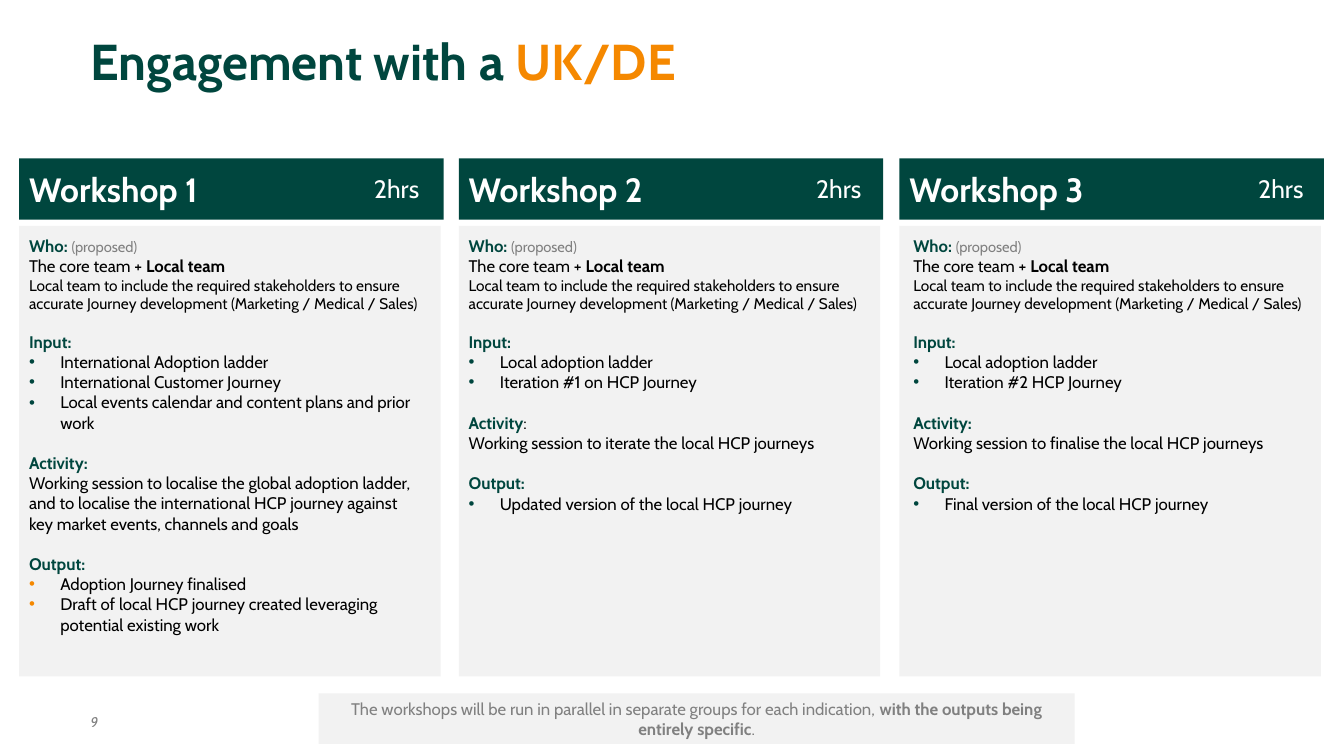
from lxml import etree
from pptx import Presentation
from pptx.dml.color import RGBColor
from pptx.enum.shapes import MSO_SHAPE as Shape
from pptx.enum.text import MSO_ANCHOR as Anchor, PP_ALIGN as Align
from pptx.oxml.ns import qn
from pptx.util import Inches, Pt

GREEN = RGBColor(0x00, 0x46, 0x3E)
ORANGE = RGBColor(0xF5, 0x88, 0x00)
GREY = RGBColor(0x80, 0x80, 0x80)
PALE = RGBColor(0xF2, 0xF2, 0xF2)
BLACK = RGBColor(0x00, 0x00, 0x00)
WHITE = RGBColor(0xFF, 0xFF, 0xFF)

WORKSHOPS = [
    {
        "left": 0.19, "text_left": 0.19, "colon": GREEN, "output_bullet": ORANGE,
        "input": ["International Adoption ladder", "International Customer Journey",
                  "Local events calendar and content plans and prior work"],
        "activity": "Working session to localise the global adoption ladder, and to localise "
                    "the international HCP journey against key market events, channels and goals",
        "output": ["Adoption Journey finalised",
                   "Draft of local HCP journey created leveraging potential existing work"],
    },
    {
        "left": 4.55, "text_left": 4.55, "colon": BLACK, "output_bullet": GREEN,
        "input": ["Local adoption ladder", "Iteration #1 on HCP Journey"],
        "activity": "Working session to iterate the local HCP journeys",
        "output": ["Updated version of the local HCP journey"],
    },
    {
        "left": 8.92, "text_left": 8.96, "colon": GREEN, "output_bullet": GREEN,
        "input": ["Local adoption ladder", "Iteration #2 HCP Journey"],
        "activity": "Working session to finalise the local HCP journeys",
        "output": ["Final version of the local HCP journey"],
    },
]


class SlideWriter:
    """Draws styled elements on the current slide."""

    font = "Cabin"

    def __init__(self, page):
        self.page = page

    def rectangle(self, left, top, width, height, fill):
        shape = self.page.shapes.add_shape(
            Shape.RECTANGLE, Inches(left), Inches(top), Inches(width), Inches(height))
        shape.shadow.inherit = False
        shape.fill.solid()
        shape.fill.fore_color.rgb = fill
        shape.line.fill.background()
        shape.text_frame.word_wrap = True
        return shape.text_frame

    def text_box(self, left, top, width, height, wrap=True):
        box = self.page.shapes.add_textbox(
            Inches(left), Inches(top), Inches(width), Inches(height))
        box.text_frame.word_wrap = wrap
        return box.text_frame

    def span(self, para, text, size, color, bold=False, italic=False):
        span = para.add_run()
        span.text = text
        span.font.name = self.font
        span.font.size = Pt(size)
        span.font.color.rgb = color
        span.font.bold = bold
        span.font.italic = italic

    def bullet(self, para, color):
        props = para._p.get_or_add_pPr()
        props.set("marL", str(Inches(0.31)))
        props.set("indent", str(-Inches(0.31)))
        bullet_color = etree.SubElement(props, qn("a:buClr"))
        etree.SubElement(bullet_color, qn("a:srgbClr")).set("val", str(color))
        etree.SubElement(props, qn("a:buFont")).set("typeface", "Arial")
        etree.SubElement(props, qn("a:buChar")).set("char", "•")

    def heading(self, frame, text, gap, colon=GREEN):
        para = frame.add_paragraph()
        para.space_before = Pt(gap)
        self.span(para, text, 12, GREEN, bold=True)
        self.span(para, ":", 12, colon, bold=colon == GREEN)

    def bullets(self, frame, items, color):
        for item in items:
            para = frame.add_paragraph()
            self.bullet(para, color)
            self.span(para, item, 12, BLACK)

    def workshop(self, number, details):
        left = details["left"]
        self.rectangle(left, 2.24, 4.18, 4.47, PALE)

        header = self.rectangle(left, 1.57, 4.21, 0.61, GREEN)
        header.vertical_anchor = Anchor.MIDDLE
        header.paragraphs[0].alignment = Align.LEFT
        self.span(header.paragraphs[0], f"Workshop {number}", 24, WHITE, bold=True)

        duration = self.text_box(3.61 + 4.385 * (number - 1), 1.67, 0.71, 0.4)
        self.span(duration.paragraphs[0], "2hrs", 18, WHITE)

        body = self.text_box(details["text_left"], 2.29, 4.13, 4.4)
        who = body.paragraphs[0]
        self.span(who, "Who: ", 12, GREEN, bold=True)
        self.span(who, "(proposed)", 10.5, GREY)
        team = body.add_paragraph()
        self.span(team, "The core team + ", 12, BLACK)
        self.span(team, "Local team", 12, BLACK, bold=True)
        self.span(body.add_paragraph(),
                  "Local team to include the required stakeholders to ensure accurate "
                  "Journey development (Marketing / Medical / Sales)", 11, BLACK)

        self.heading(body, "Input", 13.3)
        self.bullets(body, details["input"], GREEN)
        self.heading(body, "Activity", 14.5, details["colon"])
        self.span(body.add_paragraph(), details["activity"], 12, BLACK)
        self.heading(body, "Output", 14.5)
        self.bullets(body, details["output"], details["output_bullet"])


def main():
    deck = Presentation()
    deck.slide_width = Inches(13.33)
    deck.slide_height = Inches(7.5)
    writer = SlideWriter(deck.slides.add_slide(deck.slide_layouts[6]))

    title = writer.text_box(0.8, 0.28, 11.82, 1.2)
    title.margin_top = Inches(0.02)
    title.margin_bottom = 0
    writer.span(title.paragraphs[0], "Engagement with a ", 36, GREEN, bold=True)
    writer.span(title.paragraphs[0], "UK/DE", 36, ORANGE, bold=True)

    for number, details in enumerate(WORKSHOPS, 1):
        writer.workshop(number, details)

    note = writer.rectangle(3.16, 6.88, 7.5, 0.5, PALE)
    note.vertical_anchor = Anchor.TOP
    para = note.paragraphs[0]
    para.alignment = Align.CENTER
    writer.span(para, "The workshops will be run in parallel in separate groups "
                      "for each indication, ", 12, GREY)
    writer.span(para, "with the outputs being entirely specific", 12, GREY, bold=True)
    writer.span(para, ".", 12, GREY)

    page_number = writer.text_box(0.8, 7.03, 0.41, 0.27, wrap=False)
    writer.span(page_number.paragraphs[0], "9", 10, GREY, italic=True)

    deck.save("out.pptx")


if __name__ == "__main__":
    main()
